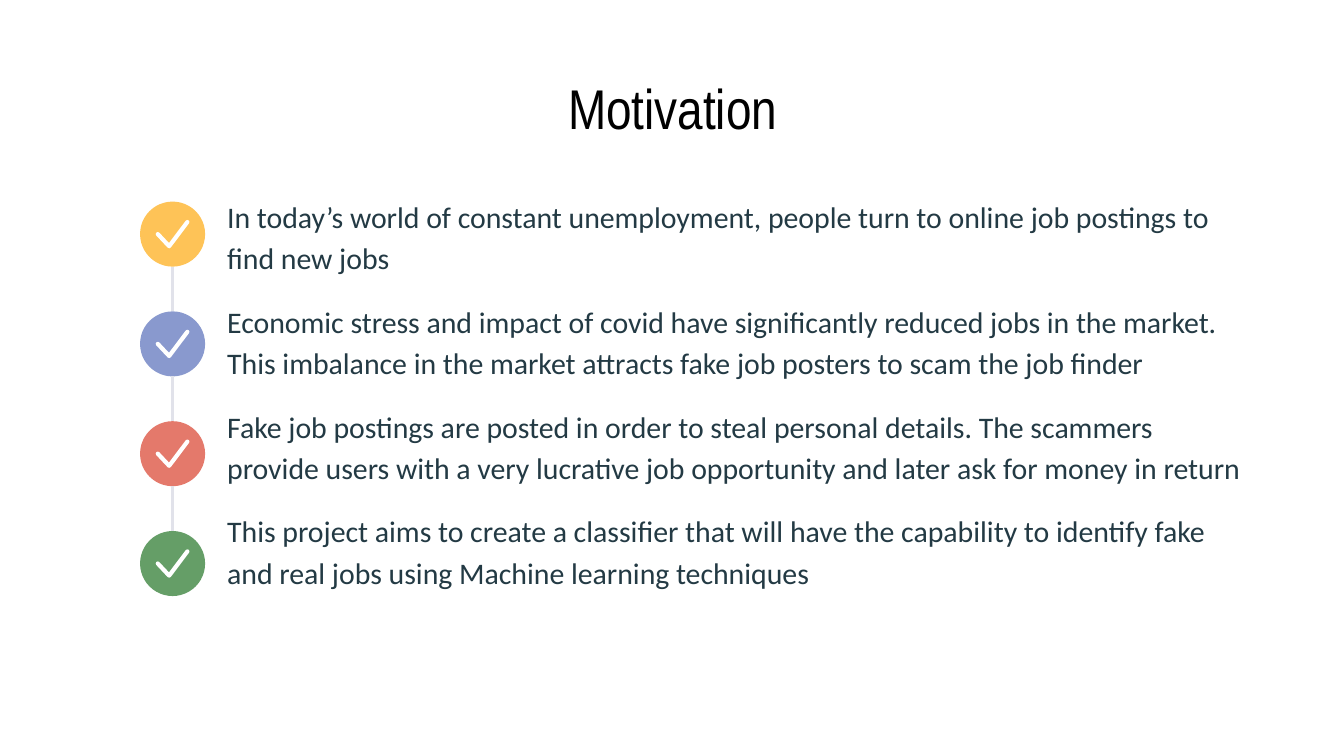
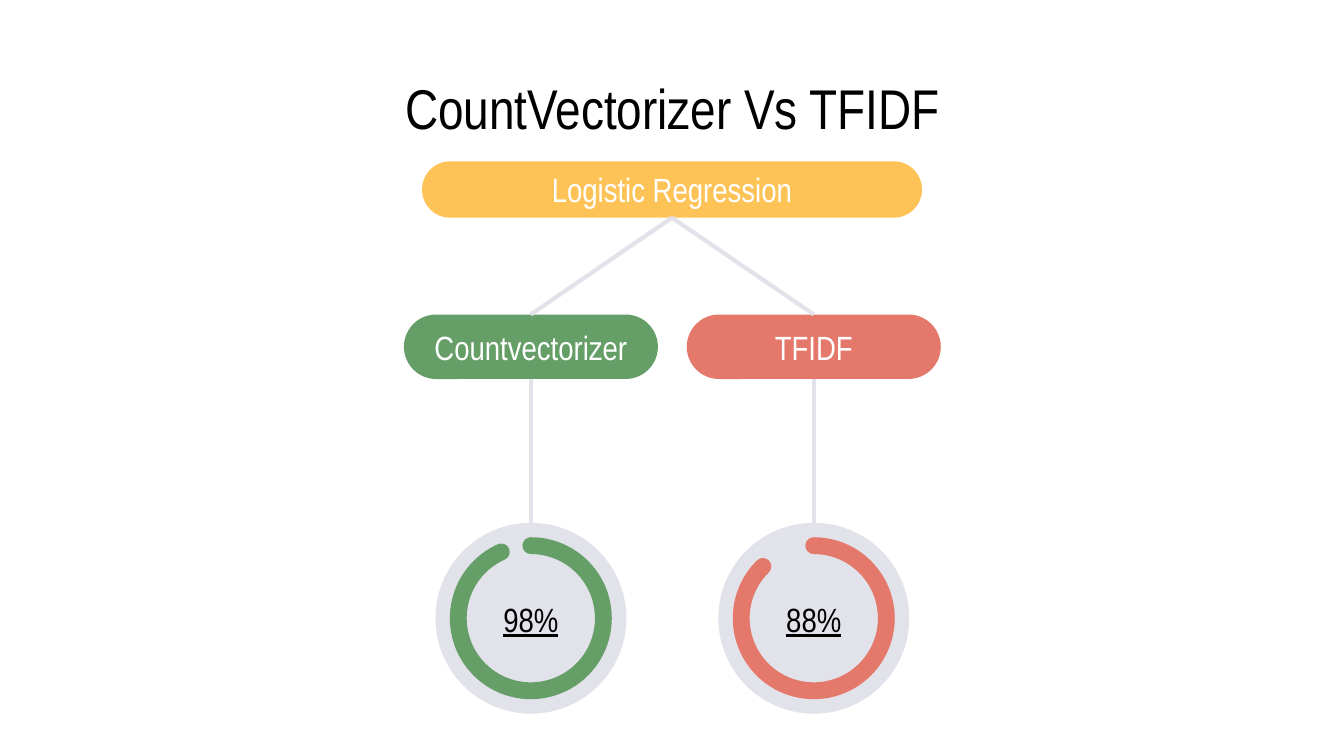
from lxml import etree
from pptx import Presentation
from pptx.dml.color import RGBColor
from pptx.enum.shapes import MSO_CONNECTOR, MSO_SHAPE as SHAPE
from pptx.enum.text import MSO_ANCHOR as ANCHOR, MSO_AUTO_SIZE as AUTO, PP_ALIGN as ALIGN
from pptx.oxml.ns import qn
from pptx.util import Emu, Inches, Pt

COLOURS = {
    "black": "000000", "white": "FFFFFF", "ink": "233A44", "grey": "E1E2EA",
    "yellow": "FEC357", "blue": "8999CE", "red": "E4796B", "green": "659E67",
}
RGB = {name: RGBColor.from_string(code) for name, code in COLOURS.items()}

# The slide is a grid of square cells, 100 columns by 56.25 rows
deck = Presentation()
deck.slide_width, deck.slide_height = Inches(10), Inches(5.625)
CELL = deck.slide_width / 100


def write(shape, *texts, size=18, font="Arial Narrow", colour="black", align=ALIGN.CENTER,
          anchor=ANCHOR.MIDDLE, side=1, indent=0, spacing=1, gap=0, underline=None, fit=AUTO.NONE):
    frame = shape.text_frame
    frame.word_wrap, frame.auto_size, frame.vertical_anchor = True, fit, anchor
    frame.margin_left = frame.margin_right = Emu(round(side * CELL))
    frame.margin_top = frame.margin_bottom = Emu(round(CELL))
    for i, text in enumerate(texts):
        para = frame.add_paragraph() if i else frame.paragraphs[0]
        props = para._p.get_or_add_pPr()
        props.set("marL", str(round(indent * CELL)))
        props.set("indent", "0")
        etree.SubElement(props, qn("a:buNone"))
        para.alignment, para.line_spacing = align, spacing
        para.space_before = Pt(gap if i else 0)
        run = para.add_run()
        run.text = text
        run.font.size, run.font.name, run.font.underline = Pt(size), font, underline
        run.font.color.rgb = RGB[colour]


def add_solid(slide, kind, x, y, width, height, colour):
    shape = slide.shapes.add_shape(kind, *(round(n * CELL) for n in (x, y, width, height)))
    shape.shadow.inherit = False
    shape.fill.solid()
    shape.fill.fore_color.rgb = RGB[colour]
    shape.line.fill.background()
    return shape


# Slides and their titles
motivation = deck.slides.add_slide(deck.slide_layouts[1])
comparison = deck.slides.add_slide(deck.slide_layouts[5])
for slide, heading in ((motivation, "Motivation"), (comparison, "CountVectorizer Vs TFIDF")):
    title = slide.shapes.title
    title.left, title.top, title.width, title.height = (
        round(n * CELL) for n in (7.9, 5.9, 84.3, 4.2))
    write(title, heading, size=30)

links = []      # slide, line width, x1, y1, x2, y2
strokes = []    # shape, colour, line width, all with round ends

# Motivation: reasons
reasons = motivation.placeholders[1]
reasons.left, reasons.top, reasons.width, reasons.height = (
    round(n * CELL) for n in (10.9, 13.4, 83.2, 35.9))
write(
    reasons,
    "In today’s world of constant unemployment, people turn to online job postings to find new jobs",
    "Economic stress and impact of covid have significantly reduced jobs in the market. "
    "This imbalance in the market attracts fake job posters to scam the job finder",
    "Fake job postings are posted in order to steal personal details. The scammers provide "
    "users with a very lucrative job opportunity and later ask for money in return",
    "This project aims to create a classifier that will have the capability to identify fake "
    "and real jobs using Machine learning techniques",
    size=16, font="Calibri", colour="ink", align=ALIGN.LEFT, anchor=ANCHOR.TOP,
    indent=5, spacing=1.15, gap=12, fit=AUTO.SHAPE_TO_FIT_TEXT)

# Motivation: chain of ticked circles
DOT, STEP, DOT_X, FIRST_Y = 4.84, 8.17, 12.84, 17.42
for i, colour in enumerate(("yellow", "blue", "red", "green")):
    y = FIRST_Y + i * STEP
    add_solid(motivation, SHAPE.OVAL, DOT_X - DOT / 2, y - DOT / 2, DOT, DOT, colour)
    if i:
        links.append((motivation, 1.5, DOT_X, y - STEP + DOT / 2, DOT_X, y - DOT / 2))
    tick = [(round((DOT_X + dx) * CELL), round((y + dy) * CELL))
            for dx, dy in ((-1.1, 0), (-0.25, 0.9), (1.1, -0.9))]
    outline = motivation.shapes.build_freeform(*tick[0])
    outline.add_line_segments(tick[1:], close=False)
    strokes.append((outline.convert_to_shape(), "white", 2.25))

# Comparison: model on top, one branch for each vectorizer
MID, MODEL_Y, MODEL_H = 50, 12, 4.2
BRANCH_Y, BRANCH_W, BRANCH_H = 23.4, 18.9, 4.8
DISC_Y, DISC, RING = 38.9, 14.2, 10.8
pills = [("Logistic Regression", MID - 18.6, MODEL_Y, 37.2, MODEL_H, "yellow")]
for name, share, x, colour, end in (("Countvectorizer", "98%", 39.5, "green", 246),
                                    ("TFIDF", "88%", 60.55, "red", 225.5)):
    pills.append((name, x - BRANCH_W / 2, BRANCH_Y, BRANCH_W, BRANCH_H, colour))
    links.append((comparison, 2.25, MID, MODEL_Y + MODEL_H, x, BRANCH_Y))
    links.append((comparison, 2.25, x, BRANCH_Y + BRANCH_H, x, DISC_Y))

    # Score ring, with angles in degrees clockwise from the right
    add_solid(comparison, SHAPE.OVAL, x - DISC / 2, DISC_Y, DISC, DISC, "grey")
    ring = add_solid(comparison, SHAPE.ARC, x - RING / 2, DISC_Y + (DISC - RING) / 2,
                     RING, RING, colour)
    ring.adjustments[0], ring.adjustments[1] = 270 * 0.6, end * 0.6
    strokes.append((ring, colour, 9))
    score = comparison.shapes.add_textbox(
        *(round(n * CELL) for n in (x - 4.1, 44.3, 8.2, 3.6)))
    write(score, share, underline=True)

for name, x, y, width, height, colour in pills:
    pill = add_solid(comparison, SHAPE.ROUNDED_RECTANGLE, x, y, width, height, colour)
    pill.adjustments[0] = 0.5
    write(pill, name, colour="white", side=0)

# Ticks and rings are open strokes without fill
for shape, colour, width in strokes:
    shape.shadow.inherit = False
    shape.fill.background()
    shape.line.color.rgb, shape.line.width = RGB[colour], Pt(width)
    shape._element.spPr.find(qn("a:ln")).set("cap", "rnd")

# Connecting lines
for slide, width, *ends in links:
    link = slide.shapes.add_connector(MSO_CONNECTOR.STRAIGHT, *(round(n * CELL) for n in ends))
    link.line.color.rgb, link.line.width = RGB["grey"], Pt(width)
    etree.SubElement(link._element.spPr, qn("a:effectLst"))

deck.save("out.pptx")
